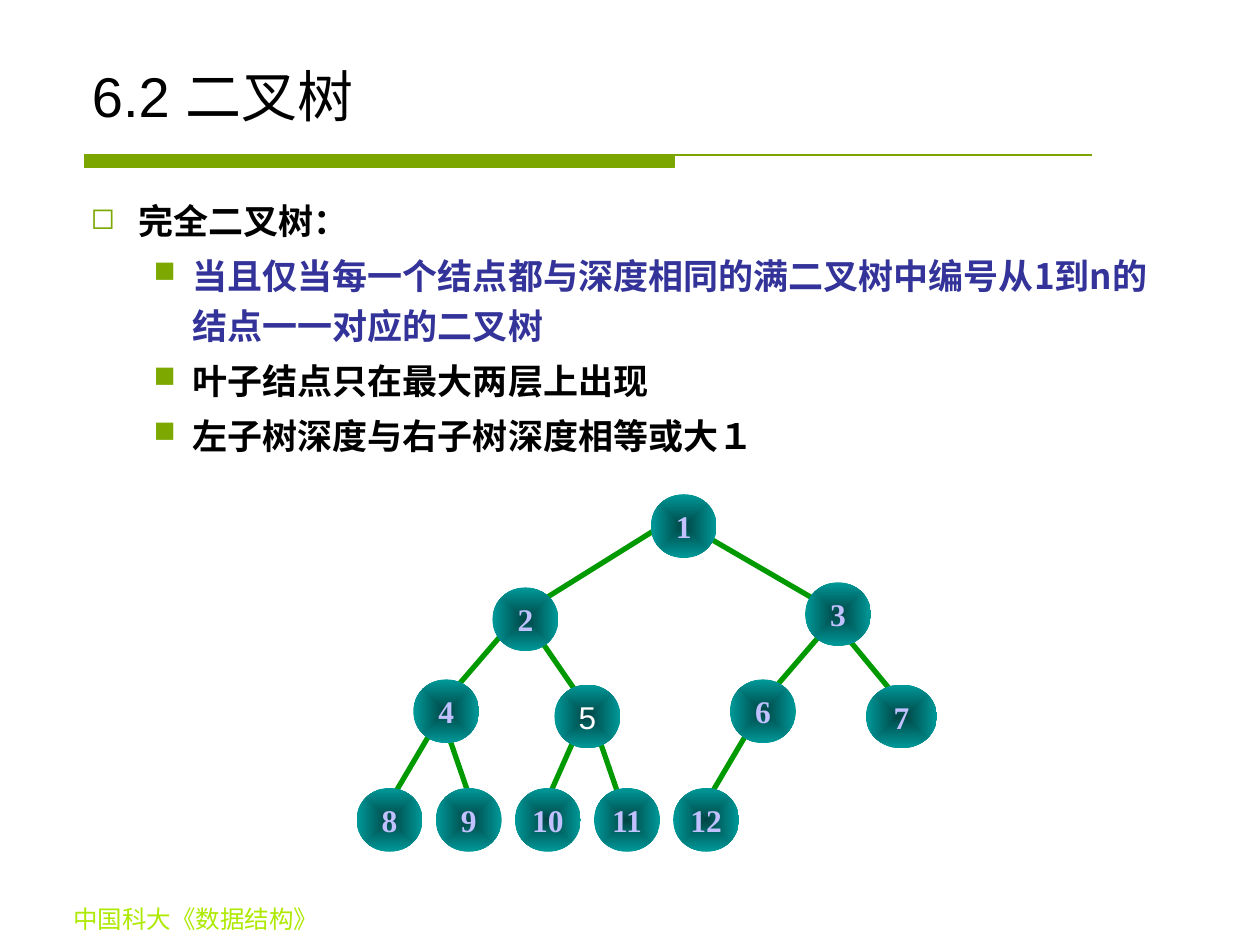
from dataclasses import dataclass

from lxml.etree import SubElement
from pptx import Presentation
from pptx.dml.color import RGBColor
from pptx.enum.shapes import MSO_CONNECTOR, MSO_SHAPE
from pptx.enum.text import MSO_ANCHOR, PP_ALIGN
from pptx.oxml import parse_xml
from pptx.oxml.ns import nsdecls, qn
from pptx.util import Inches, Pt

W, H = Inches(10), Inches(7.5)
COL, ROW = W / 95.5, H / 74
TREE_LEFT, TREE_TOP = 0.283 * W, 0.523 * H
CJK, LATIN, SERIF = "Noto Sans CJK SC", "Arial", "Times New Roman"
COLORS = {
    "rule": "7BA600", "bullet": "7CA800", "footer": "ADEA00",
    "text": "000000", "accent": "333399", "edge": "009900",
    "node_core": "004646", "node_rim": "009999",
    "number": "C1C1FF", "plain_number": "FFFFFF",
}


@dataclass(frozen=True)
class Node:
    """A numbered tree node whose top left corner is a column and row."""
    number: int
    col: float
    row: float
    cols: float = 5
    font: str = SERIF
    color: str = "number"
    bold: bool = True


@dataclass(frozen=True)
class Edge:
    """A tree edge between two grid points."""
    col: float
    row: float
    to_col: float
    to_row: float


@dataclass(frozen=True)
class Bullet:
    """A bulleted paragraph with its indent in inches."""
    text: str
    left: float = 0.81
    hang: float = 0.31
    level: int = 1
    char: str = "■"
    color: str = "text"


EDGES = [
    Edge(26, 3, 36, 9), Edge(23.4, 2.3, 13, 9),
    Edge(37, 11, 41, 16), Edge(36, 10, 31, 16),
    Edge(13, 10, 17, 16), Edge(11, 11, 6, 17),
    Edge(30, 18, 26, 25), Edge(18, 18, 20, 24), Edge(17, 18, 14, 25),
    Edge(7, 19, 9, 25), Edge(6, 18, 2, 25),
]
NODES = [Node(8 + i, 6 * i, 23) for i in range(5)] + [
    Node(4, 4.3, 14.5),
    Node(5, 15, 14.9, font=LATIN, color="plain_number", bold=False),
    Node(6, 28.3, 14.5), Node(7, 38.6, 14.9, cols=5.4),
    Node(2, 10.3, 7.3), Node(3, 34, 6.9), Node(1, 22.3, 0),
]
BULLETS = [
    Bullet("完全二叉树：", left=0.38, hang=0.38, level=0, char="◻"),
    Bullet("当且仅当每一个结点都与深度相同的满二叉树中编号从1到n的结点一一对应的二叉树", color="accent"),
    Bullet("叶子结点只在最大两层上出现"),
    Bullet("左子树深度与右子树深度相等或大１"),
]


def rgb(name: str) -> RGBColor:
    """Return a named colour."""
    return RGBColor.from_string(COLORS[name])


def add_text(p, text: str, size: float = 20, font: str = CJK,
             color: str = "text", bold: bool = False) -> None:
    """Add a formatted run to a paragraph."""
    r = p.add_run()
    r.text = text
    r.font.size, r.font.name, r.font.bold = Pt(size), font, bold
    r.font.color.rgb = rgb(color)
    SubElement(r._r.get_or_add_rPr(), qn("a:ea"), typeface=CJK)


def add_box(s, x: float, y: float, w: float, h: float):
    """Add a wrapping text box placed by shares of the slide and return its frame."""
    tf = s.shapes.add_textbox(int(x * W), int(y * H), int(w * W), int(h * H)).text_frame
    tf.word_wrap = True
    return tf


def add_title(s) -> None:
    """Place and fill the title placeholder."""
    sp = s.shapes.title
    sp.left, sp.top = int(0.063 * W), int(0.044 * H)
    sp.width, sp.height = int(0.875 * W), int(0.099 * H)
    tf = sp.text_frame
    tf.vertical_anchor = MSO_ANCHOR.BOTTOM
    p = tf.paragraphs[0]
    p.alignment = PP_ALIGN.LEFT
    add_text(p, "6.2 ", size=32, font=LATIN)
    add_text(p, "二叉树", size=32)


def add_rule(s) -> None:
    """Draw the thick bar that runs on as a thin line under the title."""
    left, mid, right = (int(x * W) for x in (0.067, 0.535, 0.867))
    top, bottom = Inches(1.23), Inches(1.33)
    fb = s.shapes.build_freeform(left, top)
    fb.add_line_segments([(mid, top), (mid, bottom), (left, bottom)], close=True)
    fb.move_to(left, top)
    fb.add_line_segments([(right, top)], close=False)
    sp = fb.convert_to_shape()
    sp.shadow.inherit = False
    sp.fill.solid()
    sp.fill.fore_color.rgb = rgb("rule")
    sp.line.color.rgb = rgb("rule")
    sp.line.width = Pt(0.75)


def add_bullet(p, b: Bullet) -> None:
    """Fill a paragraph as a bulleted line."""
    p.level, p.line_spacing = b.level, 1.2
    pPr = p._p.get_or_add_pPr()
    pPr.set("marL", str(Inches(b.left)))
    pPr.set("indent", str(-Inches(b.hang)))
    SubElement(SubElement(pPr, qn("a:buClr")), qn("a:srgbClr"), val=COLORS["bullet"])
    SubElement(pPr, qn("a:buSzPct"), val="85000")
    SubElement(pPr, qn("a:buChar"), char=b.char)
    add_text(p, b.text, color=b.color, bold=True)


def add_edge(shapes, e: Edge) -> None:
    """Draw one tree edge."""
    points = ((e.col, e.row), (e.to_col, e.to_row))
    ends = [int(v) for c, r in points for v in (TREE_LEFT + c * COL, TREE_TOP + r * ROW)]
    sp = shapes.add_connector(MSO_CONNECTOR.STRAIGHT, *ends)
    sp.line.color.rgb = rgb("edge")
    sp.line.width = Pt(3)
    SubElement(sp._element.spPr, qn("a:effectLst"))


def add_node(shapes, n: Node) -> None:
    """Draw one tree node with its number."""
    sp = shapes.add_shape(MSO_SHAPE.OVAL, int(TREE_LEFT + n.col * COL),
                          int(TREE_TOP + n.row * ROW), int(n.cols * COL), int(5 * ROW))
    sp.shadow.inherit = False
    sp.line.fill.background()
    stops = "".join(f'<a:gs pos="{pos}"><a:srgbClr val="{COLORS[name]}"/></a:gs>'
                    for pos, name in ((0, "node_core"), (100000, "node_rim")))
    sp._element.spPr.find(qn("a:prstGeom")).addnext(parse_xml(
        f'<a:gradFill {nsdecls("a")} rotWithShape="1"><a:gsLst>{stops}</a:gsLst><a:path path="rect">'
        '<a:fillToRect l="50000" t="50000" r="50000" b="50000"/></a:path></a:gradFill>'))
    tf = sp.text_frame
    tf.word_wrap, tf.vertical_anchor = False, MSO_ANCHOR.MIDDLE
    p = tf.paragraphs[0]
    p.alignment = PP_ALIGN.CENTER
    add_text(p, str(n.number), size=18, font=n.font, color=n.color, bold=n.bold)


def main() -> None:
    """Build and save the slide."""
    prs = Presentation()
    prs.slide_width, prs.slide_height = W, H
    s = prs.slides.add_slide(prs.slide_layouts[5])
    add_rule(s)
    p = add_box(s, 0, 0.95, 0.311, 0.045).paragraphs[0]
    p.alignment = PP_ALIGN.CENTER
    add_text(p, "中国科大《数据结构》", size=14, font=SERIF, color="footer")
    add_title(s)
    tf = add_box(s, 0.062, 0.196, 0.875, 0.724)
    for i, b in enumerate(BULLETS):
        p = tf.add_paragraph() if i else tf.paragraphs[0]
        p.space_before = Pt(2.5 if i else 0)
        add_bullet(p, b)
    tree = s.shapes.add_group_shape().shapes
    for e in EDGES:
        add_edge(tree, e)
    for n in NODES:
        add_node(tree, n)
    prs.save("out.pptx")


if __name__ == "__main__":
    main()
